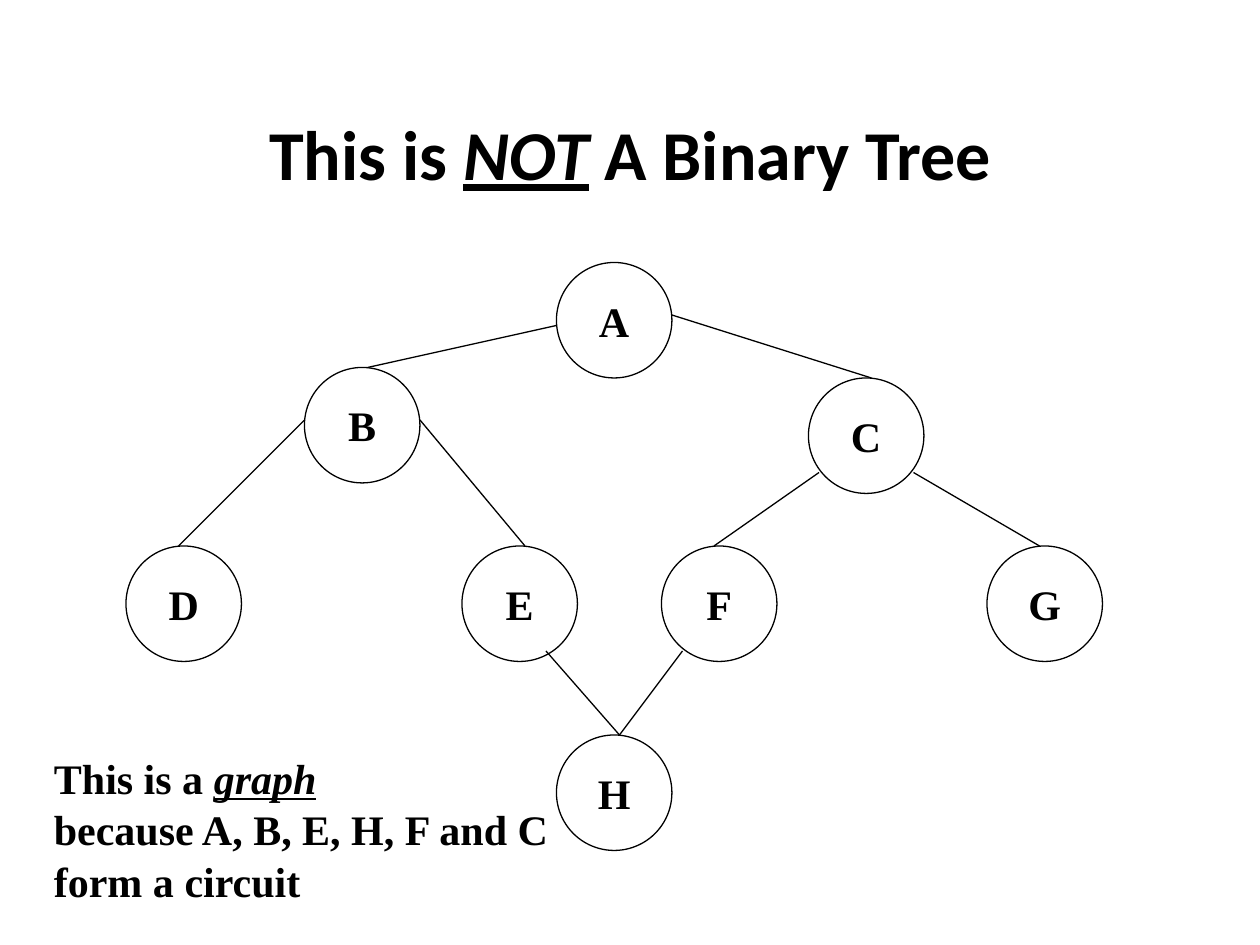
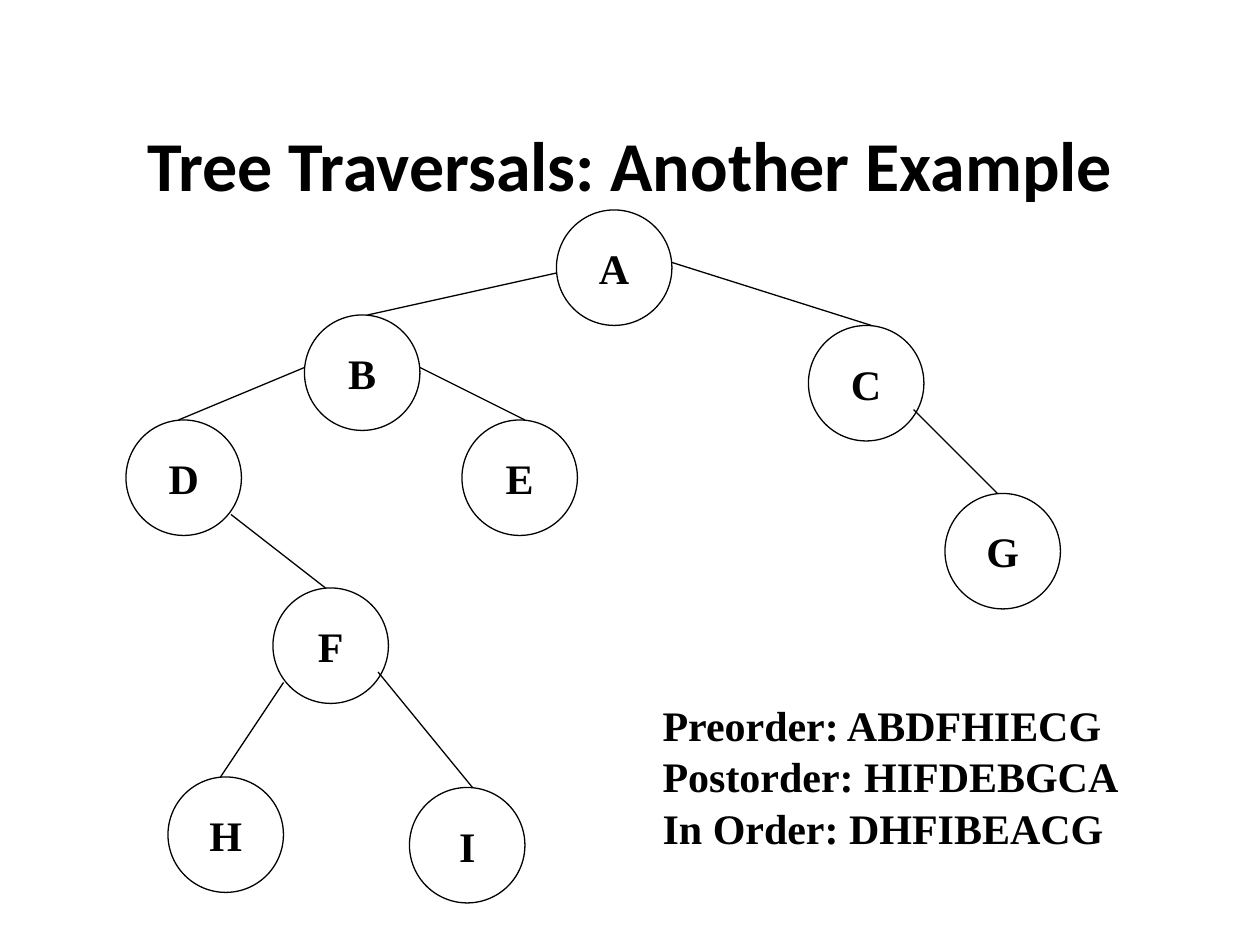
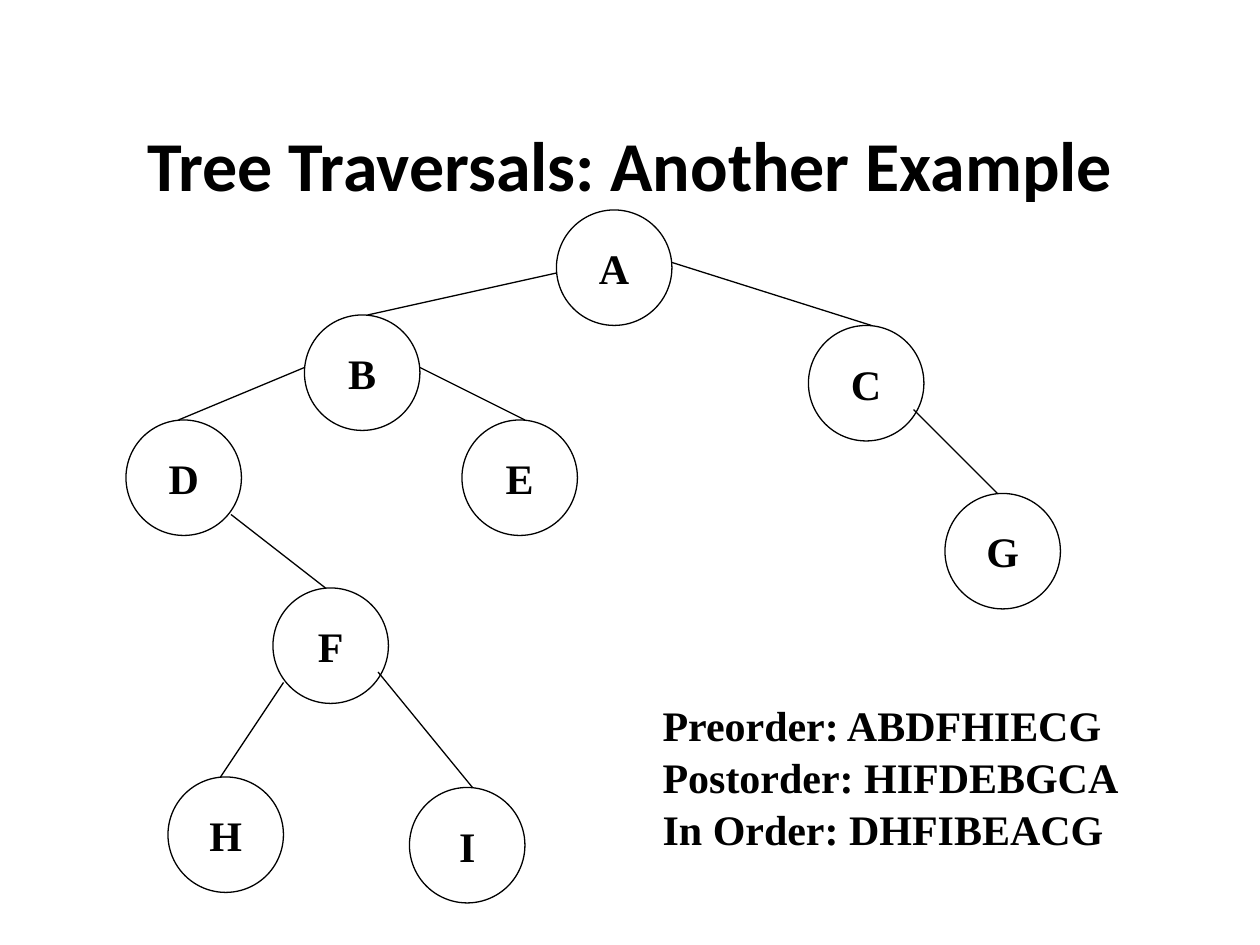
from pptx import Presentation, util as u
from pptx.dml.color import RGBColor
from pptx.enum import shapes, text
from pptx.oxml.ns import qn
from lxml import etree

COLORS = {"ink": "000000", "paper": "FFFFFF"}
TITLE_FONT, BODY_FONT = "Calibri", "Times New Roman"
GRID = 12       # grid steps per inch
DIAMETER = 11   # node size in grid steps

# Where an edge leaves its parent, in grid steps from the node's top left
LEFT_LOW, LEFT, RIGHT = (0, 6), (0, 5), (11, 5)
LOWER_LEFT, LOWER_RIGHT = (1, 9), (10, 9)
RIGHT_BELOW = (10, 8)
BOTTOM_LEFT, BOTTOM_RIGHT = (2, 10), (8, 10)

# Graphs: node positions in grid steps; edges as parent, child, exit point
# and the distance of the arrival point from the child's left
GRAPH = {
    "nodes": {"A": (53, 25), "B": (29, 35), "C": (77, 36), "D": (12, 52),
              "E": (44, 52), "F": (63, 52), "G": (94, 52), "H": (53, 70)},
    "edges": [("A", "B", LEFT_LOW, 6), ("A", "C", RIGHT, 6),
              ("B", "D", LEFT, 5), ("B", "E", RIGHT, 6),
              ("C", "F", LOWER_LEFT, 5), ("C", "G", LOWER_RIGHT, 5),
              ("E", "H", BOTTOM_RIGHT, 6), ("F", "H", BOTTOM_LEFT, 6)],
}
TREE = {
    "nodes": {"A": (53, 20), "B": (29, 30), "C": (77, 31), "D": (12, 40),
              "E": (44, 40), "F": (26, 56), "G": (90, 47), "H": (16, 74),
              "I": (39, 75)},
    "edges": [("A", "B", LEFT_LOW, 6), ("A", "C", RIGHT, 6),
              ("B", "D", LEFT, 5), ("B", "E", RIGHT, 6),
              ("C", "G", RIGHT_BELOW, 5), ("D", "F", LOWER_RIGHT, 5),
              ("F", "H", LOWER_LEFT, 5), ("F", "I", RIGHT_BELOW, 6)],
}

# Slides: a line of text is a list of (words, emphasised) spans
TRAVERSALS = {
    "title": [("Tree Traversals: Another Example", False)],
    "title_height": 1.25,
    "graph": TREE,
    "note": [[("Preorder: ABDFHIECG", False)],
             [("Postorder: HIFDEBGCA", False)],
             [("In Order: DHFIBEACG", False)]],
    "note_at": (5.16, 5.5, 3.82, 1.32),
    "gap": 0.3,
}
SLIDES = [
    {
        "title": [("This is ", False), ("NOT", True), (" A Binary Tree", False)],
        "title_height": 1.08,
        "graph": GRAPH,
        "note": [[("This is a ", False), ("graph", True)],
                 [("because A, B, E, H, F and C", False)],
                 [("form a circuit", False)]],
        "note_at": (0.33, 5.92, 4.24, 1.32),
        "gap": 0.3,
    },
    TRAVERSALS,
    {**TRAVERSALS, "gap": 0.5},
]


def color(name):
    return RGBColor.from_string(COLORS[name])


def steps(*values):
    return [u.Inches(value / GRID) for value in values]


def write(shape, lines, font=BODY_FONT, size=24, center=True, middle=True,
          wrap=False, gap=0.3):
    frame = shape.text_frame
    frame.word_wrap = wrap
    frame.vertical_anchor = text.MSO_ANCHOR.MIDDLE if middle else text.MSO_ANCHOR.TOP
    for index, spans in enumerate(lines):
        para = frame.add_paragraph() if index else frame.paragraphs[0]
        para.alignment = text.PP_ALIGN.CENTER if center else text.PP_ALIGN.LEFT
        para.space_before = u.Pt(gap if index else 0)
        para.space_after = u.Pt(gap)
        for words, emphasised in spans:
            span = para.add_run()
            span.text = words
            span.font.name, span.font.size, span.font.bold = font, u.Pt(size), True
            span.font.color.rgb = color("ink")
            if emphasised:
                span.font.italic = span.font.underline = True


def outline(shape):
    shape.line.color.rgb = color("ink")
    shape.line.width = u.Pt(0.75)


def add_node(page, label, position, gap):
    node = page.shapes.add_shape(shapes.MSO_SHAPE.OVAL,
                                 *steps(*position, DIAMETER, DIAMETER))
    node.shadow.inherit = False
    node.fill.background()
    outline(node)
    write(node, [[(label, False)]], gap=gap)


def add_edge(page, parent, child, leave, arrive):
    edge = page.shapes.add_connector(
        shapes.MSO_CONNECTOR.STRAIGHT,
        *steps(parent[0] + leave[0], parent[1] + leave[1],
               child[0] + arrive, child[1]))
    outline(edge)
    etree.SubElement(edge._element.spPr, qn("a:effectLst"))


def add_page(deck, content):
    page = deck.slides.add_slide(deck.slide_layouts[6])
    page.background.fill.solid()
    page.background.fill.fore_color.rgb = color("paper")

    # Title
    title = page.shapes.add_textbox(u.Inches(0.75), u.Inches(0.67), u.Inches(8.5),
                                    u.Inches(content["title_height"]))
    write(title, [content["title"]], font=TITLE_FONT, size=40, wrap=True, gap=0.5)

    # Nodes and edges
    nodes = content["graph"]["nodes"]
    for label, position in nodes.items():
        add_node(page, label, position, content["gap"])
    for parent, child, leave, arrive in content["graph"]["edges"]:
        add_edge(page, nodes[parent], nodes[child], leave, arrive)

    # Note
    note = page.shapes.add_textbox(*map(u.Inches, content["note_at"]))
    write(note, content["note"], center=False, middle=False, gap=content["gap"])
    note.text_frame.auto_size = text.MSO_AUTO_SIZE.SHAPE_TO_FIT_TEXT


def main():
    deck = Presentation()
    deck.slide_width, deck.slide_height = u.Inches(10), u.Inches(7.5)
    for content in SLIDES:
        add_page(deck, content)
    deck.save("out.pptx")


if __name__ == "__main__":
    main()
